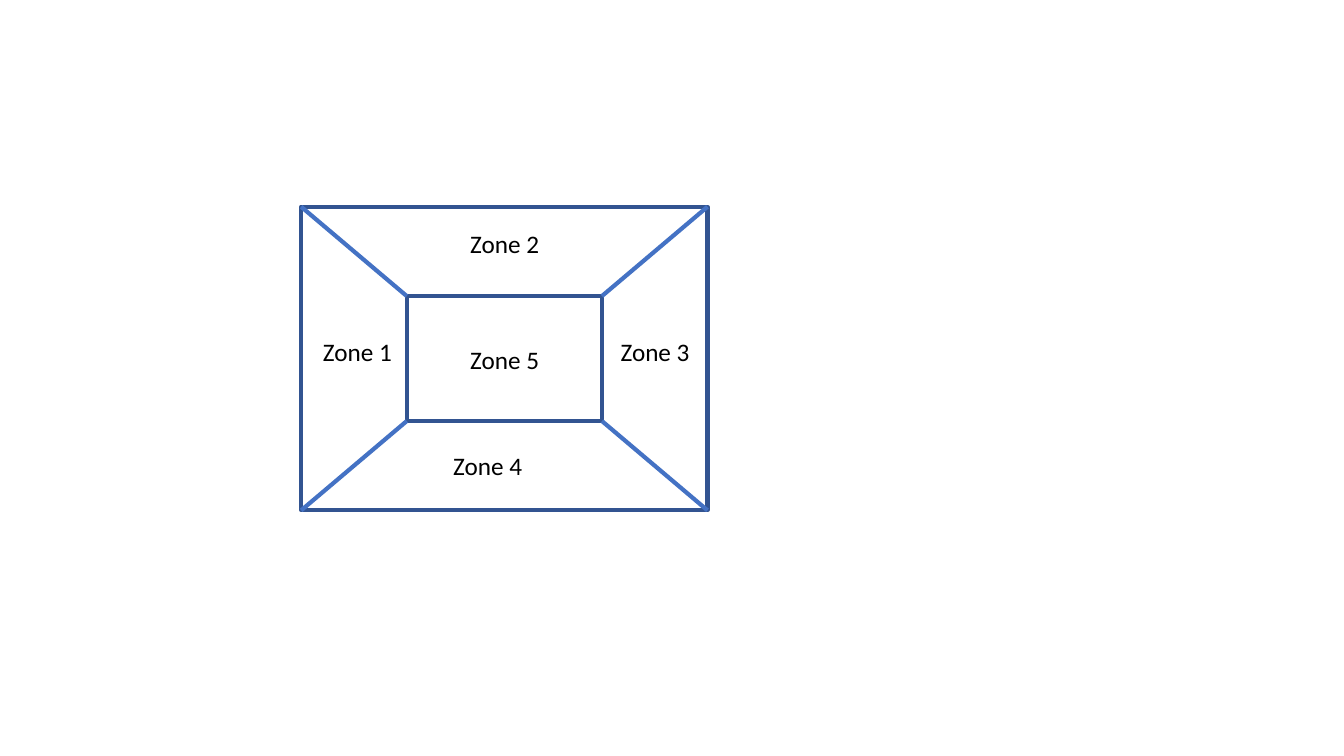
from itertools import product

from lxml.etree import SubElement
from pptx import Presentation
from pptx.dml.color import RGBColor
from pptx.enum.shapes import MSO_CONNECTOR as Connector, MSO_SHAPE as Shape
from pptx.enum.text import MSO_AUTO_SIZE as AutoSize
from pptx.oxml.ns import qn
from pptx.util import Cm, Pt

COLOURS = {"frame": "325491", "diagonal": "4472C4", "text": "000000"}
ZONE_LABELS = [
    ("Zone 2", 4.01, 0.43, 2.64),
    ("Zone 1", 0.3, 3.15, 2.64),
    ("Zone 4", 3.58, 6.02, 3.07),
    ("Zone 3", 7.8, 3.15, 3.07),
    ("Zone 5", 4.01, 3.33, 3.07),
]


def style_line(line, colour):
    """Give a line its colour and the common width."""
    line.color.rgb = RGBColor.from_string(COLOURS[colour])
    line.width = Pt(3)


def add_frame(page, left, top, width, height):
    """Draw an unfilled rectangle."""
    frame = page.shapes.add_shape(
        Shape.RECTANGLE, Cm(left), Cm(top), Cm(width), Cm(height))
    frame.shadow.inherit = False
    frame.fill.background()
    style_line(frame.line, "frame")


def add_diagonal(page, start, end):
    """Join an inner corner to an outer corner."""
    diagonal = page.shapes.add_connector(
        Connector.STRAIGHT, *(Cm(value) for value in (*start, *end)))
    style_line(diagonal.line, "diagonal")
    SubElement(diagonal._element.spPr, qn("a:effectLst"))


def add_label(page, text, left, top, width):
    """Write the name of one zone."""
    box = page.shapes.add_textbox(Cm(left), Cm(top), Cm(width), Cm(1.02))
    box.text_frame.word_wrap = True
    box.text_frame.auto_size = AutoSize.SHAPE_TO_FIT_TEXT
    para = box.text_frame.paragraphs[0]
    para.text = text
    para.font.name = "Calibri"
    para.font.size = Pt(18)
    para.font.color.rgb = RGBColor.from_string(COLOURS["text"])


def add_zone_plan(page, left, top, width, height):
    """Draw a core zone surrounded by four perimeter zones."""
    core_width, core_height = 4.92, 3.15
    core_left = left + (width - core_width) / 2
    core_top = top + (height - core_height) / 2
    add_frame(page, left, top, width, height)
    add_frame(page, core_left, core_top, core_width, core_height)
    for across, down in product((0, 1), repeat=2):
        core_corner = (core_left + across * core_width,
                       core_top + down * core_height)
        outer_corner = (left + across * width, top + down * height)
        add_diagonal(page, core_corner, outer_corner)
    for text, across, down, label_width in ZONE_LABELS:
        add_label(page, text, left + across, top + down, label_width)


def main():
    """Build and save the deck."""
    deck = Presentation()
    deck.slide_width, deck.slide_height = Cm(33.87), Cm(19.05)
    page = deck.slides.add_slide(deck.slide_layouts[6])
    add_zone_plan(page, 7.59, 5.21, 10.24, 7.65)
    deck.save("out.pptx")


if __name__ == "__main__":
    main()
